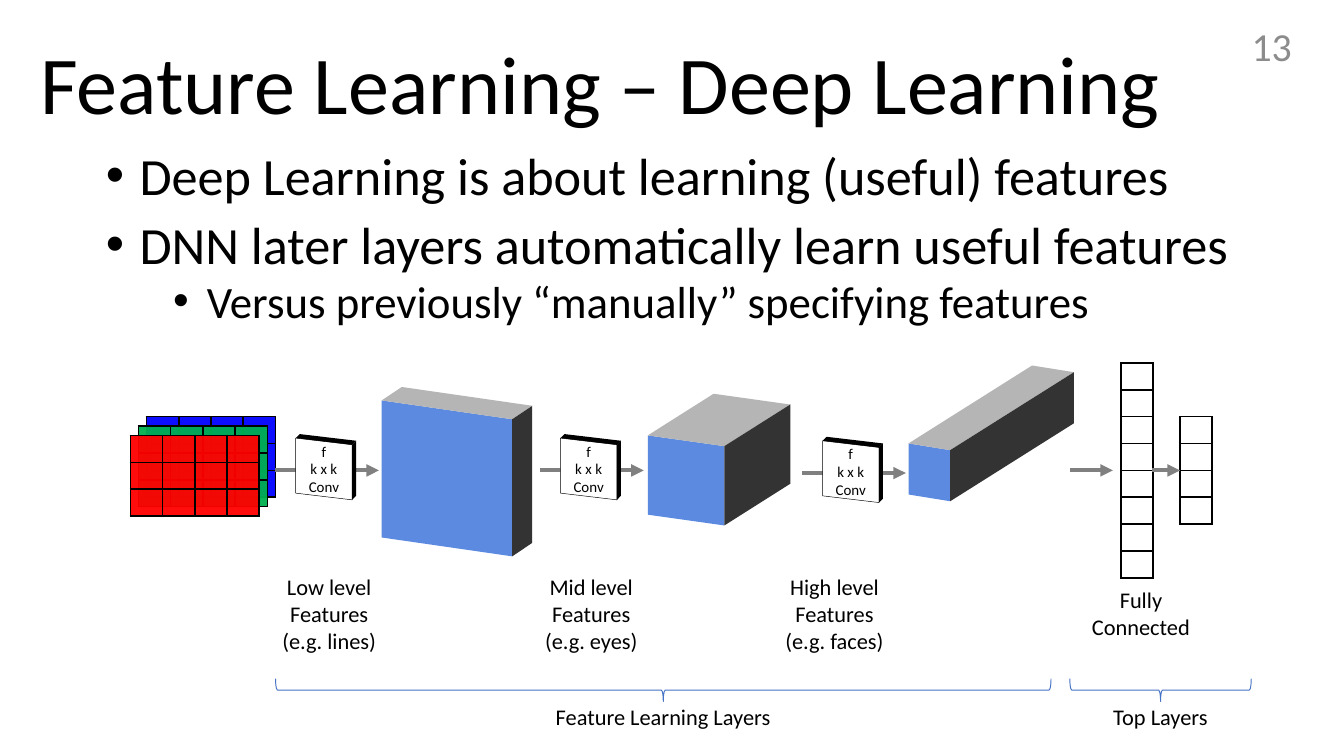
"""Build a slide about feature learning in deep networks."""
from lxml import etree
from pptx import Presentation
from pptx import util as u
from pptx.dml.color import RGBColor
from pptx.enum import shapes, text
from pptx.oxml.ns import qn

COLORS = {"ink": "000000", "paper": "FFFFFF", "number": "8C8C8C", "arrow": "808080",
          "brace": "4472C4", "red": "FF0000", "green": "00B050", "blue": "0000FF",
          "front": "5C8AE0", "top": "B5B5B5", "side": "333333"}
FONT = "Calibri"
WIDTH = 10
HEIGHT = WIDTH * 9 / 16
AXIS = 3.5
CELL_WIDTH, CELL_HEIGHT = 0.24, 0.2

TITLE = "Feature Learning – Deep Learning"
BULLETS = [("Deep Learning is about learning (useful) features", 0),
           ("DNN later layers automatically learn useful features", 0),
           ("Versus previously “manually” specifying features", 1)]
LEVELS = [{"size": 28, "indent": 0.25, "before": 10}, {"size": 24, "indent": 0.75, "before": 5}]
CHANNELS = ["blue", "green", "red"]
VECTORS = [(8.34, 8), (8.78, 4)]
FILTER_LINES = ["f", "k x k", "Conv"]
STAGES = [
    {"start": 2.05, "axis": AXIS, "label_left": 1.92, "label": ["Low level", "Features", "(e.g. lines)"],
     "block": {"left": 2.84, "top": 2.98, "width": 0.97, "height": 1.02, "slant": 0.14, "depth": (0.15, -0.1)}},
    {"start": 4.02, "axis": AXIS, "label_left": 3.87, "label": ["Mid level", "Features", "(e.g. eyes)"],
     "block": {"left": 4.82, "top": 3.24, "width": 0.57, "height": 0.59, "slant": 0.08, "depth": (0.49, -0.31)}},
    {"start": 5.97, "axis": 3.52, "label_left": 5.68, "label": ["High level", "Features", "(e.g. faces)"],
     "block": {"left": 6.76, "top": 3.3, "width": 0.31, "height": 0.38, "slant": 0.05, "depth": (0.92, -0.58)}},
]
TOP_ARROWS = [(7.96, 8.28), (8.57, 8.78)]
GROUPS = [("Feature Learning Layers", 2.05, 7.82), ("Top Layers", 7.96, 9.31)]


def color(name):
    return RGBColor.from_string(COLORS[name])


def apply_format(target, values):
    for name, value in values.items():
        setattr(target, name, value)


def style(paragraph, size, ink="ink", **values):
    apply_format(paragraph, values)
    for run in paragraph.runs:
        apply_format(run.font, {"name": FONT, "size": u.Pt(size)})
        run.font.color.rgb = color(ink)


def write(shape, lines, size, ink="ink", align=text.PP_ALIGN.CENTER, **frame_values):
    frame = shape.text_frame
    apply_format(frame, {"word_wrap": True, "auto_size": text.MSO_AUTO_SIZE.NONE,
                         "vertical_anchor": text.MSO_ANCHOR.MIDDLE, **frame_values})
    for index, line in enumerate(lines):
        paragraph = frame.add_paragraph() if index else frame.paragraphs[0]
        paragraph.text = line
        style(paragraph, size, ink, alignment=align)


def add_label(slide, lines, left, top, width, height, size=12, **options):
    box = slide.shapes.add_textbox(*map(u.Inches, (left, top, width, height)))
    write(box, lines, size, **options)
    return box


def add_bullets(slide):
    box = add_label(slide, [line for line, _ in BULLETS], 0.69, 1.11, 8.62, 1.43,
                    align=text.PP_ALIGN.LEFT, vertical_anchor=text.MSO_ANCHOR.TOP)
    for index, (paragraph, (_, level)) in enumerate(zip(box.text_frame.paragraphs, BULLETS)):
        look = LEVELS[level]
        properties = paragraph._p.get_or_add_pPr()
        properties.set("marL", str(u.Inches(look["indent"])))
        properties.set("indent", str(u.Inches(-0.25)))
        etree.SubElement(properties, qn("a:buFont"), typeface="Arial")
        etree.SubElement(properties, qn("a:buChar"), char="•")
        style(paragraph, look["size"], level=level, line_spacing=0.8,
              space_before=u.Pt(look["before"] if index else 0))


def add_grid(slide, left, top, rows, columns, fill):
    frame = slide.shapes.add_table(rows, columns, u.Inches(left), u.Inches(top),
                                   u.Inches(columns * CELL_WIDTH), u.Inches(rows * CELL_HEIGHT))
    table = frame.table
    for column in table.columns:
        column.width = u.Inches(CELL_WIDTH)
    for row in table.rows:
        row.height = u.Inches(CELL_HEIGHT)
    for cell in table.iter_cells():
        apply_format(cell, dict.fromkeys(("margin_left", "margin_right", "margin_top", "margin_bottom"), 0))
        etree.SubElement(cell.text_frame.paragraphs[0]._p, qn("a:endParaRPr"), sz="600")
        properties = cell._tc.get_or_add_tcPr()
        for side in ("a:lnL", "a:lnR", "a:lnT", "a:lnB"):
            border = etree.SubElement(properties, qn(side), w=str(u.Pt(1)))
            paint = etree.SubElement(border, qn("a:solidFill"))
            etree.SubElement(paint, qn("a:srgbClr"), val=COLORS["ink"])
        cell.fill.solid()
        cell.fill.fore_color.rgb = color(fill)
        etree.SubElement(properties.find(qn("a:solidFill"))[0], qn("a:alpha"), val="95000")


def add_face(slide, points, fill):
    start, *others = [(u.Inches(x), u.Inches(y)) for x, y in points]
    builder = slide.shapes.build_freeform(*start)
    builder.add_line_segments(others, close=True)
    face = builder.convert_to_shape()
    face.shadow.inherit = False
    face.fill.solid()
    face.fill.fore_color.rgb = color(fill)
    face.line.fill.background()
    return face


def add_block(slide, left, top, width, height, slant, depth, fills=("front", "top", "side")):
    right, low = left + width, top + slant
    top_left, top_right = (left, top), (right, low)
    bottom_right, bottom_left = (right, low + height), (left, top + height)
    back_left, back_right, back_bottom = [(x + depth[0], y + depth[1])
                                          for x, y in (top_left, top_right, bottom_right)]
    faces = [(top_left, top_right, bottom_right, bottom_left),
             (top_left, back_left, back_right, top_right),
             (top_right, back_right, back_bottom, bottom_right)]
    return [add_face(slide, points, fill) for points, fill in zip(faces, fills)][0]


def add_filter(slide, left, top):
    kernel = add_block(slide, left, top, 0.42, 0.41, 0.05, (0.03, -0.03), ("paper", "ink", "ink"))
    kernel.line.color.rgb = color("ink")
    kernel.line.width = u.Pt(0.25)
    write(kernel, FILTER_LINES, 8, margin_left=0, margin_right=0, margin_top=0, margin_bottom=0)


def add_arrow(slide, start, end, axis=AXIS):
    arrow = slide.shapes.add_connector(shapes.MSO_CONNECTOR.STRAIGHT,
                                       *map(u.Inches, (start, axis, end, axis)))
    arrow.line.color.rgb = color("arrow")
    arrow.line.width = u.Pt(2.25)
    etree.SubElement(arrow.line._get_or_add_ln(), qn("a:tailEnd"), type="triangle")
    etree.SubElement(arrow._element.spPr, qn("a:effectLst"))


def add_brace(slide, start, end, top=5.05, thickness=0.17):
    span = end - start
    left = (start + end - thickness) / 2
    brace = slide.shapes.add_shape(shapes.MSO_SHAPE.RIGHT_BRACE, u.Inches(left),
                                   u.Inches(top + (thickness - span) / 2),
                                   u.Inches(thickness), u.Inches(span))
    brace.rotation = 90
    brace.shadow.inherit = False
    brace.fill.background()
    brace.line.color.rgb = color("brace")
    brace.line.width = u.Pt(0.5)


def main():
    presentation = Presentation()
    apply_format(presentation, {"slide_width": u.Inches(WIDTH), "slide_height": u.Inches(HEIGHT)})
    slide = presentation.slides.add_slide(presentation.slide_layouts[5])
    title = slide.shapes.title
    apply_format(title, {"left": u.Inches(0.2), "top": u.Inches(0.11),
                         "width": u.Inches(8.62), "height": u.Inches(1.09)})
    write(title, [TITLE], 44, align=text.PP_ALIGN.LEFT)
    title.text_frame.paragraphs[0].line_spacing = 0.9
    add_bullets(slide)

    for index, channel in enumerate(CHANNELS):
        add_grid(slide, 1.09 - 0.06 * index, 3.1 + 0.07 * index, 3, 4, channel)
    for left, rows in VECTORS:
        add_grid(slide, left, AXIS - rows * CELL_HEIGHT / 2, rows, 1, "paper")
    for stage in STAGES:
        add_arrow(slide, stage["start"], stage["start"] + 0.77, stage["axis"])
        add_filter(slide, stage["start"] + 0.15, stage["axis"] - 0.24)
        add_block(slide, **stage["block"])
        add_label(slide, stage["label"], stage["label_left"], 4.25, 1.06, 0.63)
    for start, end in TOP_ARROWS:
        add_arrow(slide, start, end)
    add_label(slide, ["Fully", "Connected"], 7.96, 4.25, 1.06, 0.63)
    for name, start, end in GROUPS:
        add_brace(slide, start, end)
        add_label(slide, [name], (start + end) / 2 - 1.03, 5.19, 2.06, 0.29)
    add_label(slide, ["13"], 7.46, 0.19, 2.25, 0.3, 21.3, ink="number", align=text.PP_ALIGN.RIGHT)
    presentation.save("out.pptx")


if __name__ == "__main__":
    main()
